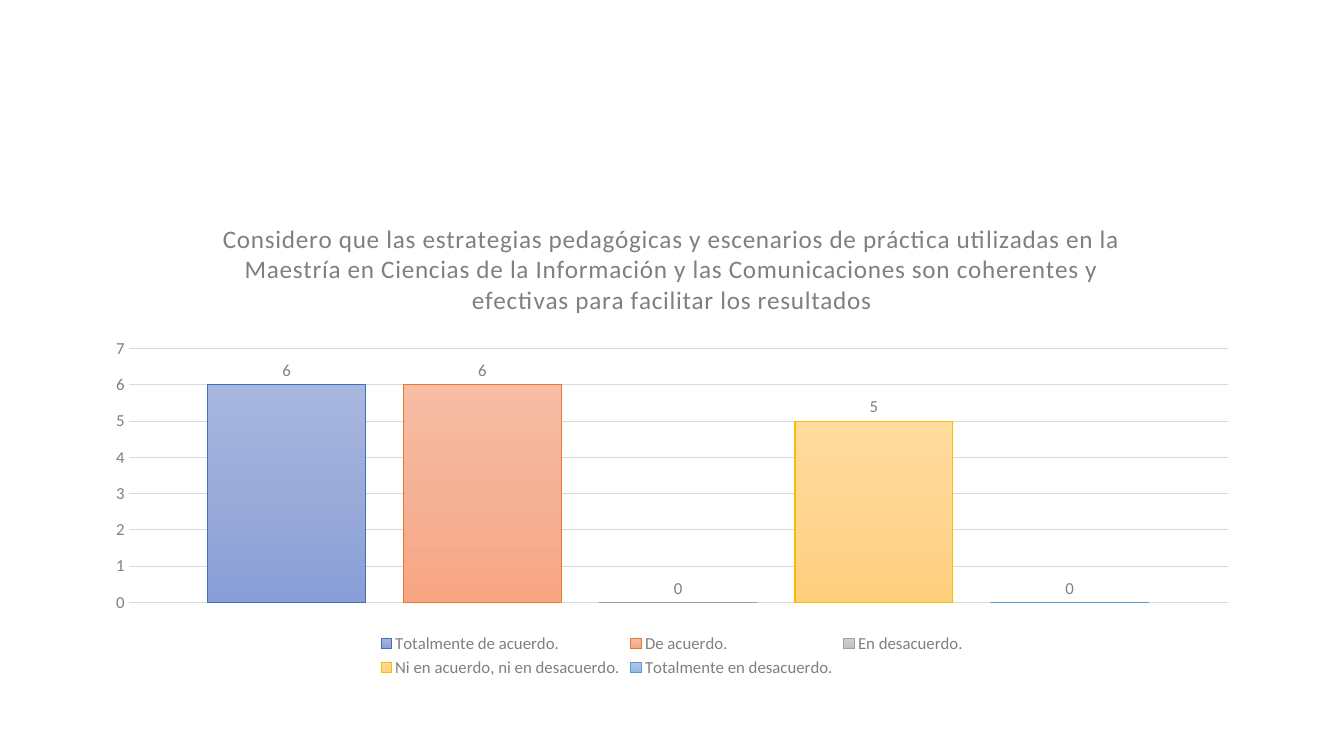
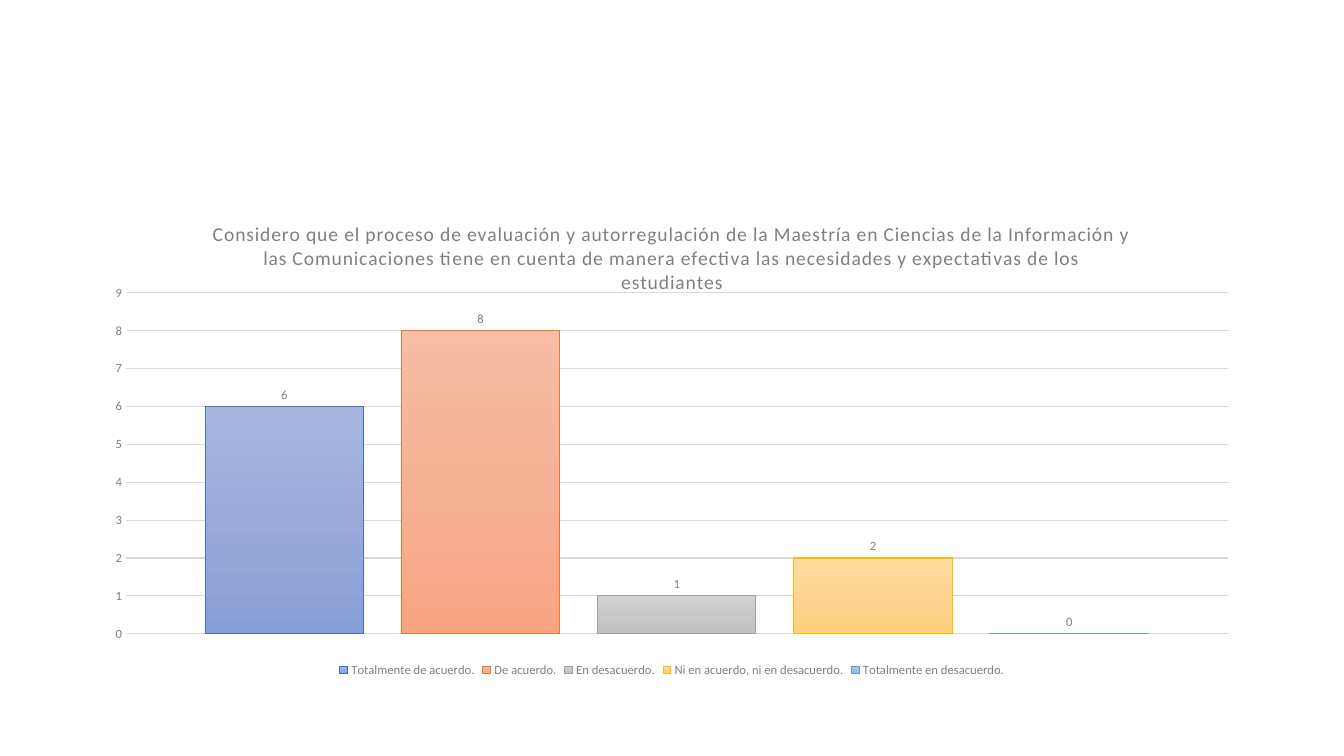
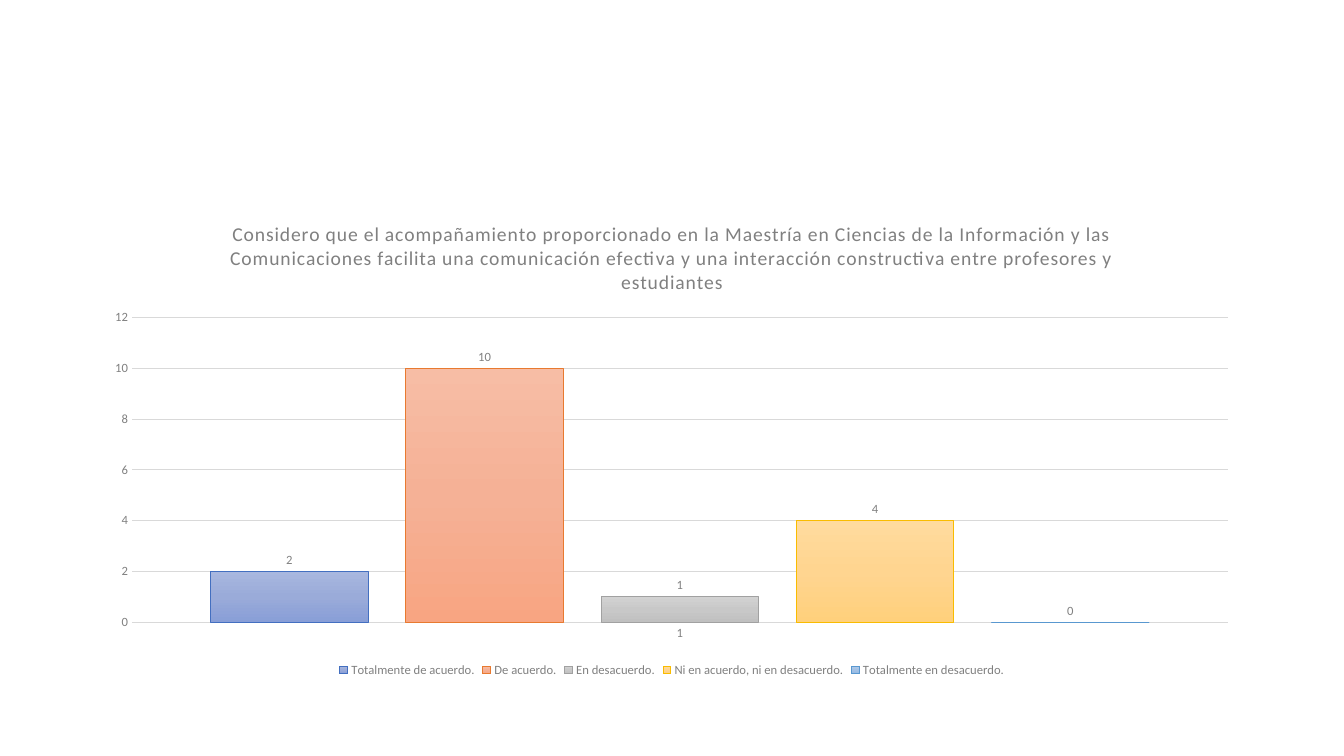
from dataclasses import dataclass

from lxml import etree
from pptx import Presentation
from pptx.chart.data import CategoryChartData
from pptx.dml.color import RGBColor
from pptx.enum.chart import XL_CHART_TYPE, XL_LABEL_POSITION, XL_LEGEND_POSITION, XL_TICK_MARK
from pptx.oxml import parse_xml
from pptx.oxml.ns import nsdecls, qn
from pptx.util import Pt

COLUMNS = XL_CHART_TYPE.COLUMN_CLUSTERED
OUTSIDE_END = XL_LABEL_POSITION.OUTSIDE_END
BOTTOM = XL_LEGEND_POSITION.BOTTOM
NO_TICKS = XL_TICK_MARK.NONE
BLANK_LAYOUT = 6


@dataclass(frozen=True)
class Theme:
    font: str = "Calibri"
    text: str = "808080"
    grid: str = "D9D9D9"
    large_title: int = 18
    title: int = 14
    large_label: int = 12
    label: int = 9
    line: float = 0.75
    letter_spacing: int = 50  # hundredths of a point


THEME = Theme()

# Slide and chart frame, in points
SLIDE_WIDTH, SLIDE_HEIGHT = 960, 540
CHART_LEFT, CHART_TOP, CHART_WIDTH, CHART_HEIGHT = 66, 144, 828, 342.72
PLOT_RIGHT = 811

# Answer, gradient from top to bottom, outline
ANSWERS = [
    ("Totalmente de acuerdo.", ("A8B7DF", "9AABD9", "889ED7"), "436FC0"),
    ("De acuerdo.", ("F7BDA5", "F5B196", "F8A582"), "E87A30"),
    ("En desacuerdo.", ("D2D2D2", "C8C8C8", "C0C0C0"), "A1A1A1"),
    ("Ni en acuerdo, ni en desacuerdo.", ("FFDB9E", "FFD590", "FFD07C"), "F9BC00"),
    ("Totalmente en desacuerdo.", ("B1CBE9", "A3C1E5", "93B9E4"), "5998D0"),
]


@dataclass(frozen=True)
class Question:
    title: str
    votes: tuple
    axis_maximum: int
    plot_area: tuple  # left, top, bottom inside the chart, in points
    axis_step: int = 1
    title_size: int = THEME.title
    label_size: int = THEME.label
    show_category: bool = False


QUESTIONS = [
    Question(
        "Considero que las estrategias pedagógicas y escenarios de práctica utilizadas en la "
        "Maestría en Ciencias de la Información y las Comunicaciones son coherentes y "
        "efectivas para facilitar los resultados",
        (6, 6, 0, 5, 0), 7, (26, 105, 286.4),
        title_size=THEME.large_title, label_size=THEME.large_label),
    Question(
        "Considero que el proceso de evaluación y autorregulación de la Maestría en Ciencias "
        "de la Información y las Comunicaciones tiene en cuenta de manera efectiva las "
        "necesidades y expectativas de los estudiantes",
        (6, 8, 1, 2, 0), 9, (24, 65.3, 308.8)),
    Question(
        "Considero que el acompañamiento proporcionado en la Maestría en Ciencias de la "
        "Información y las Comunicaciones facilita una comunicación efectiva y una "
        "interacción constructiva entre profesores y estudiantes",
        (2, 10, 1, 4, 0), 12, (28.3, 82.8, 300.6), axis_step=2, show_category=True),
]


def style_font(font, size):
    font.name = THEME.font
    font.size = Pt(size)
    font.bold = False
    font.color.rgb = RGBColor.from_string(THEME.text)


def style_line(line, color):
    line.color.rgb = RGBColor.from_string(color)
    line.width = Pt(THEME.line)


def add_title(chart, text, size):
    chart.has_title = True
    paragraph = chart.chart_title.text_frame.paragraphs[0]
    run = paragraph.add_run()
    run.text = text
    style_font(paragraph.font, size)
    style_font(run.font, size)
    # Letter spacing
    for properties in paragraph._p.iter(qn("a:defRPr"), qn("a:rPr")):
        properties.set("spc", str(THEME.letter_spacing))


def place_plot(chart, left, top, bottom):
    """Fix the inner plot area as fractions of the chart frame."""
    plot_area = chart._chartSpace.chart.plotArea
    for layout in plot_area.findall(qn("c:layout")):
        plot_area.remove(layout)
    layout = parse_xml(f"<c:layout {nsdecls('c')}><c:manualLayout/></c:layout>")
    settings = {
        "layoutTarget": "inner", "xMode": "edge", "yMode": "edge",
        "x": left / CHART_WIDTH, "y": top / CHART_HEIGHT,
        "w": (PLOT_RIGHT - left) / CHART_WIDTH, "h": (bottom - top) / CHART_HEIGHT,
    }
    for name, value in settings.items():
        etree.SubElement(layout[0], qn(f"c:{name}")).set("val", str(value))
    plot_area.insert(0, layout)


def style_axes(chart, question):
    for axis in (chart.category_axis, chart.value_axis):
        axis.major_tick_mark = axis.minor_tick_mark = NO_TICKS
        style_font(axis.tick_labels.font, question.label_size)
    chart.category_axis.visible = question.show_category
    style_line(chart.category_axis.format.line, THEME.grid)

    value_axis = chart.value_axis
    value_axis.minimum_scale = 0
    value_axis.maximum_scale = question.axis_maximum
    value_axis.major_unit = question.axis_step
    value_axis.format.line.fill.background()
    style_line(value_axis.major_gridlines.format.line, THEME.grid)


def fill_gradient(fill, colors):
    fill.gradient()
    fill.gradient_angle = 270  # top to bottom
    stops = fill._fill._gradFill.find(qn("a:gsLst"))
    for stop in list(stops):
        stops.remove(stop)
    for index, color in enumerate(colors):
        position = 100000 * index // (len(colors) - 1)
        stops.append(parse_xml(
            f'<a:gs {nsdecls("a")} pos="{position}"><a:srgbClr val="{color}"/></a:gs>'))


def style_series(series, colors, outline, label_size):
    fill_gradient(series.format.fill, colors)
    style_line(series.format.line, outline)
    series.invert_if_negative = False
    labels = series.data_labels
    labels.show_value = True
    labels.position = OUTSIDE_END
    style_font(labels.font, label_size)


def add_question_chart(slide, question):
    data = CategoryChartData()
    data.categories = ["1"]
    for (answer, _, _), votes in zip(ANSWERS, question.votes):
        data.add_series(answer, [votes])
    chart = slide.shapes.add_chart(
        COLUMNS, Pt(CHART_LEFT), Pt(CHART_TOP), Pt(CHART_WIDTH), Pt(CHART_HEIGHT), data).chart
    style_font(chart.font, question.label_size)
    add_title(chart, question.title, question.title_size)
    place_plot(chart, *question.plot_area)
    style_axes(chart, question)

    # Columns
    plot = chart.plots[0]
    plot.gap_width = 100
    plot.overlap = -24
    plot.vary_by_categories = False
    for series, (_, colors, outline) in zip(plot.series, ANSWERS):
        style_series(series, colors, outline, question.label_size)

    # Legend
    chart.has_legend = True
    chart.legend.position = BOTTOM
    chart.legend.include_in_layout = False
    style_font(chart.legend.font, question.label_size)


def main():
    presentation = Presentation()
    presentation.slide_width = Pt(SLIDE_WIDTH)
    presentation.slide_height = Pt(SLIDE_HEIGHT)
    for question in QUESTIONS:
        slide = presentation.slides.add_slide(presentation.slide_layouts[BLANK_LAYOUT])
        add_question_chart(slide, question)
    presentation.save("out.pptx")


if __name__ == "__main__":
    main()
